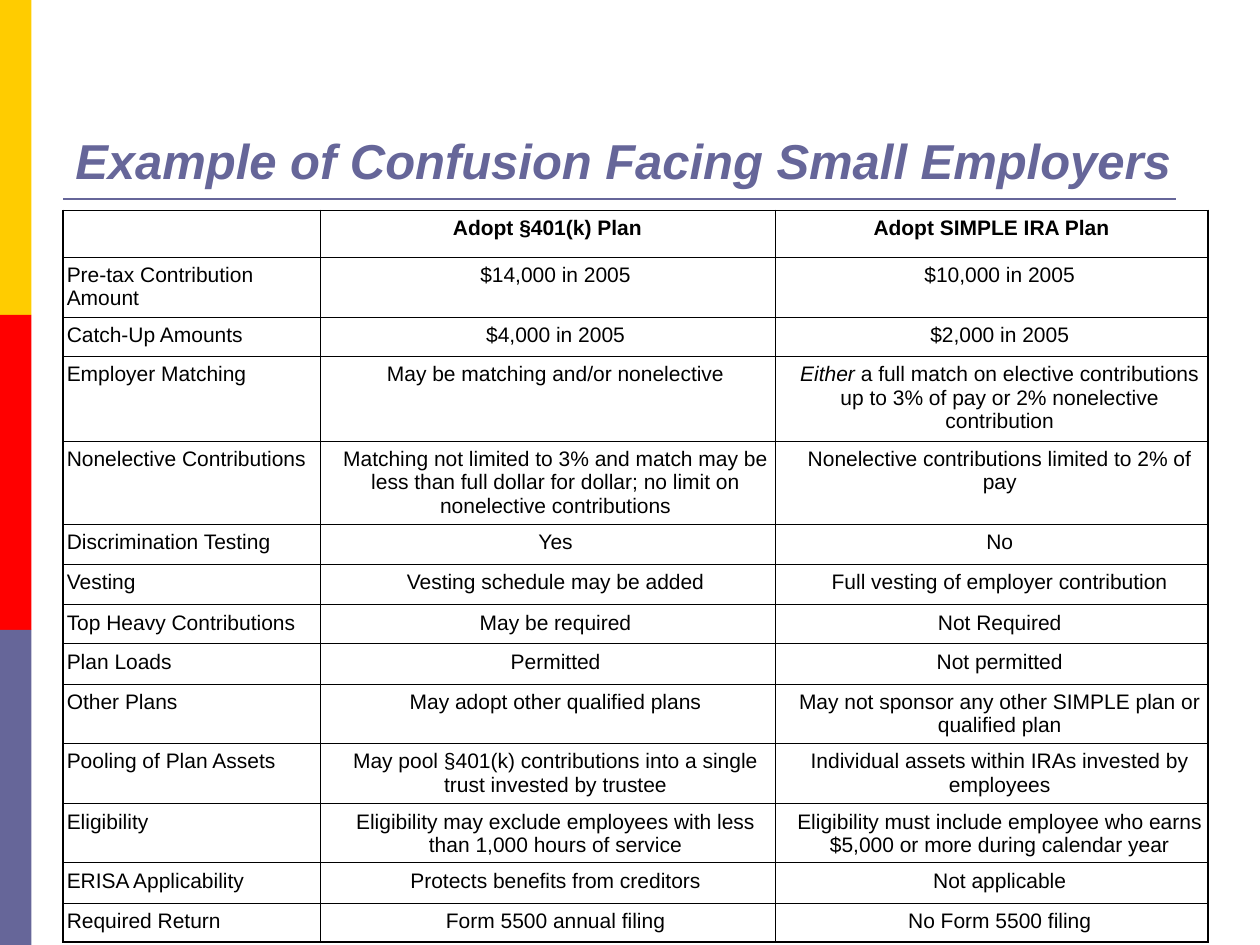
import dataclasses
import typing
import pptx
import pptx.dml.color
import pptx.enum.shapes
import pptx.enum.text
import pptx.oxml
import pptx.oxml.ns
import pptx.util

Inches = pptx.util.Inches
Pt = pptx.util.Pt
Align = pptx.enum.text.PP_ALIGN


@dataclasses.dataclass(frozen=True)
class Theme:
    font: str = "Arial"
    ink: str = "000000"
    slate: str = "666699"
    red: str = "FF0000"
    gold: str = "FFCC00"
    title: float = 28
    body: float = 12
    rule: float = 1.5
    thick: float = 1.08
    thin: float = 0.45


class Row(typing.NamedTuple):
    high: float
    label: str
    plan: str
    ira: str
    lead: str = ""
    pad: float = 0.03


THEME = Theme()
BANDS = (THEME.gold, THEME.red, THEME.slate)
COLS = (2.04, 3.61, 3.44)
ROWS = (
    Row(0.37, "", "Adopt §401(k) Plan", "Adopt SIMPLE IRA Plan", pad=0.1),
    Row(0.48, "Pre-tax Contribution Amount", "$14,000 in 2005", "$10,000 in 2005"),
    Row(0.31, "Catch-Up Amounts", "$4,000 in 2005", "$2,000 in 2005"),
    Row(0.67, "Employer Matching", "May be matching and/or nonelective",
        " a full match on elective contributions up to 3% of pay or 2% nonelective contribution",
        lead="Either"),
    Row(0.66, "Nonelective Contributions",
        "Matching not limited to 3% and match may be less than full dollar for dollar; "
        "no limit on nonelective contributions",
        "Nonelective contributions limited to 2% of pay", pad=0.01),
    Row(0.32, "Discrimination Testing", "Yes", "No"),
    Row(0.32, "Vesting", "Vesting schedule may be added",
        "Full vesting of employer contribution"),
    Row(0.31, "Top Heavy Contributions", "May be required", "Not Required"),
    Row(0.32, "Plan Loads", "Permitted", "Not permitted"),
    Row(0.47, "Other Plans", "May adopt other qualified plans",
        "May not sponsor any other SIMPLE plan or qualified plan"),
    Row(0.48, "Pooling of Plan Assets",
        "May pool §401(k) contributions into a single trust invested by trustee",
        "Individual assets within IRAs invested by employees"),
    Row(0.47, "Eligibility",
        "Eligibility may exclude employees with less than 1,000 hours of service",
        "Eligibility must include employee who earns $5,000 or more during calendar year"),
    Row(0.32, "ERISA Applicability", "Protects benefits from creditors", "Not applicable"),
    Row(0.31, "Required Return", "Form 5500 annual filing", "No Form 5500 filing"),
)


def tint(code: str) -> pptx.dml.color.RGBColor:
    return pptx.dml.color.RGBColor.from_string(code)


def add_run(para, text: str, size: float, color: str,
            bold: bool = False, slant: bool = False) -> None:
    run = para.add_run()
    run.text = text
    run.font.name = THEME.font
    run.font.size = Pt(size)
    run.font.bold = bold
    run.font.italic = slant
    run.font.color.rgb = tint(color)


def add_bands(slide) -> None:
    high = 7.5 / len(BANDS)
    for spot, color in enumerate(BANDS):
        band = slide.shapes.add_shape(
            pptx.enum.shapes.MSO_SHAPE.RECTANGLE,
            Inches(0), Inches(spot * high), Inches(0.25), Inches(high))
        band.shadow.inherit = False
        band.fill.solid()
        band.fill.fore_color.rgb = tint(color)
        band.line.fill.background()


def add_title(slide, text: str) -> None:
    line = slide.shapes.add_connector(
        pptx.enum.shapes.MSO_CONNECTOR.STRAIGHT,
        Inches(0.5), Inches(1.58), Inches(9.33), Inches(1.58))
    line.line.color.rgb = tint(THEME.slate)
    line.line.width = Pt(THEME.rule)
    line._element.spPr.append(pptx.oxml.parse_xml(
        f'<a:effectLst {pptx.oxml.ns.nsdecls("a")}/>'))
    box = slide.shapes.add_textbox(Inches(0.5), Inches(0.3), Inches(9), Inches(1.25))
    frame = box.text_frame
    frame.word_wrap = True
    frame.vertical_anchor = pptx.enum.text.MSO_ANCHOR.BOTTOM
    add_run(frame.paragraphs[0], text, THEME.title, THEME.slate, True, True)


def set_edges(cell, row: int, col: int) -> None:
    outer = {"L": col == 0, "R": col == len(COLS) - 1,
             "T": row == 0, "B": row == len(ROWS) - 1}
    props = cell._tc.get_or_add_tcPr()
    for side, edge in outer.items():
        wide = Pt(THEME.thick if edge else THEME.thin)
        props.append(pptx.oxml.parse_xml(
            f'<a:ln{side} {pptx.oxml.ns.nsdecls("a")} w="{wide}"><a:solidFill>'
            f'<a:srgbClr val="{THEME.ink}"/></a:solidFill></a:ln{side}>'))
    cell.fill.background()


def fill_cell(cell, item: Row, row: int, col: int) -> None:
    set_edges(cell, row, col)
    cell.margin_top = Inches(0.05)
    cell.margin_bottom = Inches(0.01)
    text = (item.label, item.plan, item.ira)[col]
    if not text:
        return
    pad = item.pad if row == 0 or col == 1 else 0.03
    cell.margin_left = cell.margin_right = Inches(pad)
    para = cell.text_frame.paragraphs[0]
    if col:
        para.alignment = Align.CENTER
        if row:
            para.level = 1
            props = para._p.get_or_add_pPr()
            props.set("marL", str(Inches(0.13)))
            props.set("indent", "0")
    if col == 2 and item.lead:
        add_run(para, item.lead, THEME.body, THEME.ink, slant=True)
    add_run(para, text, THEME.body, THEME.ink, bold=row == 0)


def add_grid(slide) -> None:
    grid = slide.shapes.add_table(
        len(ROWS), len(COLS), Inches(0.5), Inches(1.67),
        Inches(sum(COLS)), Inches(sum(item.high for item in ROWS))).table
    grid.first_row = False
    grid.horz_banding = False
    for col, wide in enumerate(COLS):
        grid.columns[col].width = Inches(wide)
    for row, item in enumerate(ROWS):
        grid.rows[row].height = Inches(item.high)
        for col in range(len(COLS)):
            fill_cell(grid.cell(row, col), item, row, col)


def main() -> None:
    """Build the slide that compares two plans for small employers."""
    deck = pptx.Presentation()
    deck.slide_width = Inches(10)
    deck.slide_height = Inches(7.5)
    slide = deck.slides.add_slide(deck.slide_layouts[6])
    add_bands(slide)
    add_title(slide, "Example of Confusion Facing Small Employers")
    add_grid(slide)
    deck.save("out.pptx")


if __name__ == "__main__":
    main()
